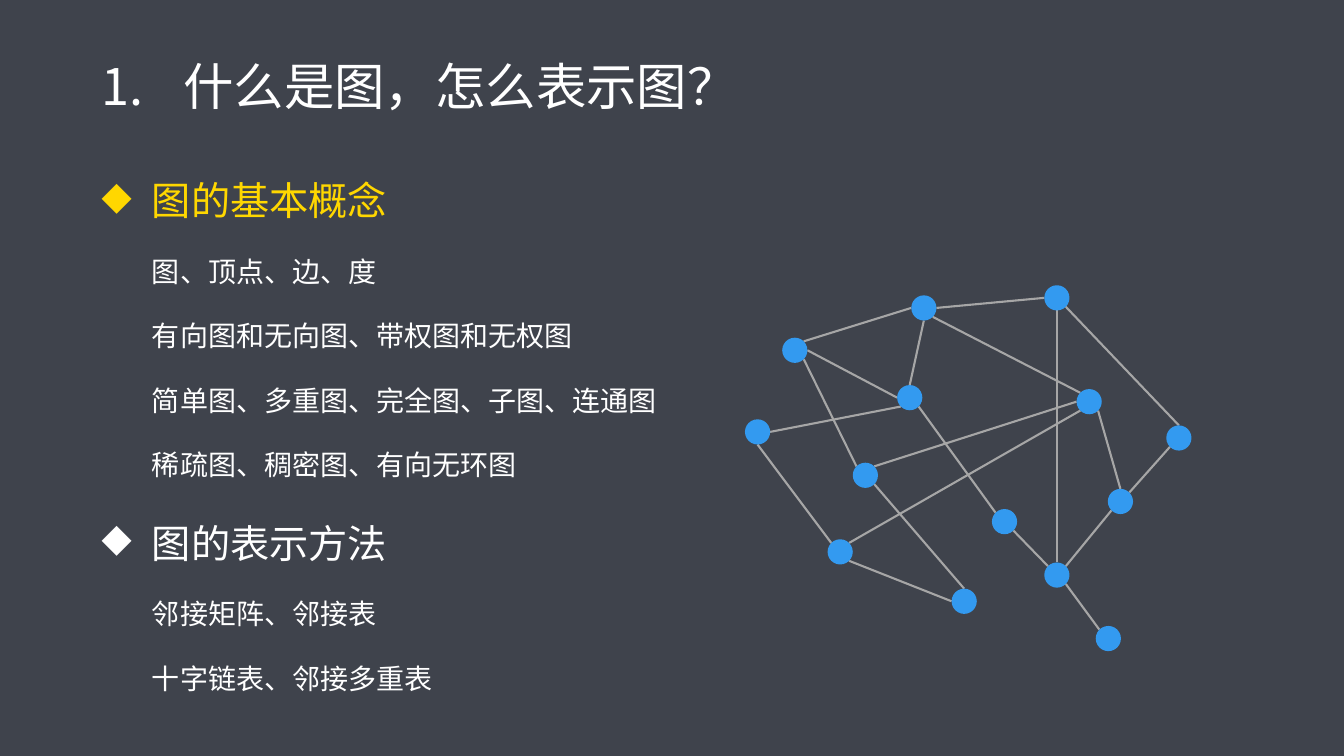
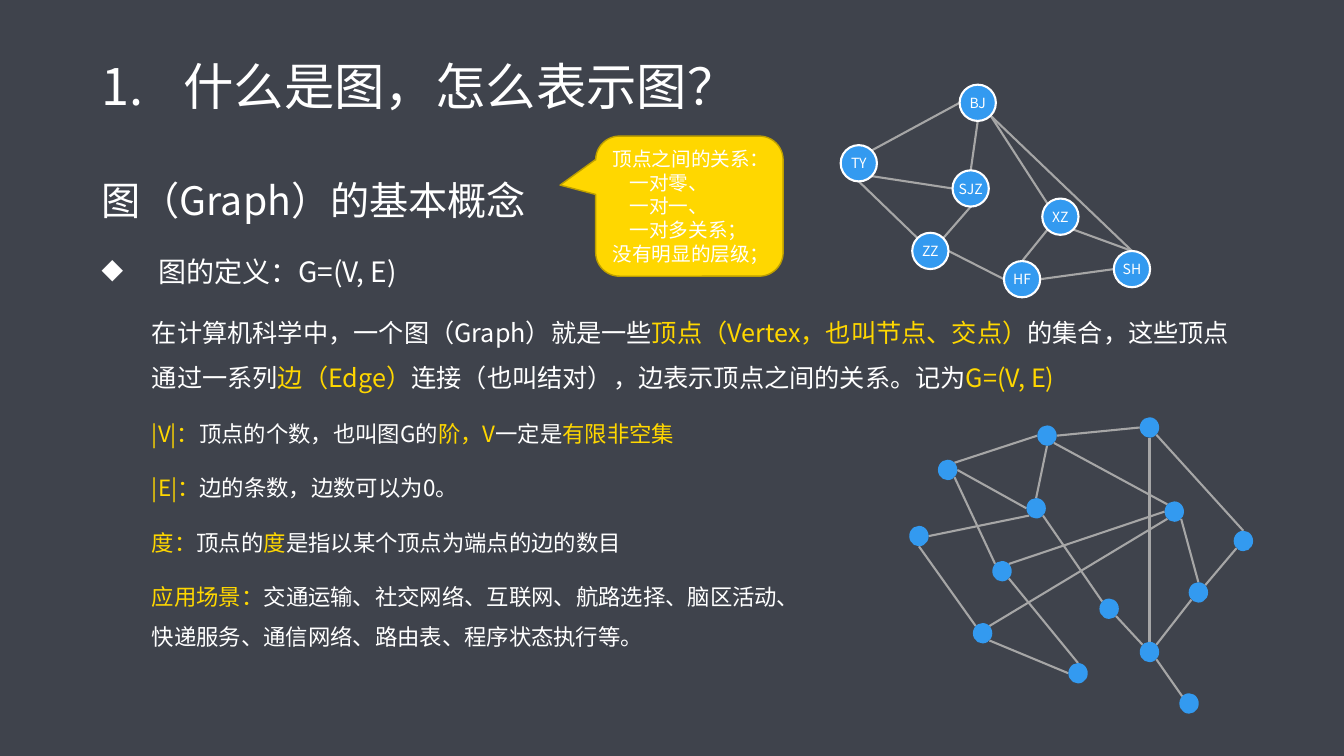
import math

from lxml import etree
from pptx import Presentation
from pptx import util as u
from pptx.dml.color import RGBColor
from pptx.enum import shapes, text
from pptx.oxml import ns

COLORS = {
    "ground": "3F434C",
    "plain": "FFFFFF",
    "accent": "FFD700",
    "accent_edge": "BD9F00",
    "vertex": "339AF0",
    "edge": "A6A6A6",
}
FONT = "Noto Sans CJK SC"
COLUMNS, ROWS = 133.33, 75
SITES = ["e", "se", "s", "sw", "w", "nw", "n", "ne"]

NETWORK = {
    "a": (3.7, 5.2), "b": (0, 13.3), "c": (10.7, 17.6), "d": (29.7, 0),
    "e": (32.9, 10.3), "f": (36, 20.2), "g": (29.7, 27.5), "h": (15.1, 9.9),
    "i": (34.8, 33.8), "j": (8.2, 25.2), "k": (16.5, 1), "l": (41.8, 13.9),
    "m": (20.5, 30.1), "n": (24.5, 22.2),
}
NETWORK_EDGES = [
    "k.w a.ne", "c.nw a.se", "e.w c.ne", "f.n e.se", "l.n d.se",
    "h.sw b.e", "j.ne e.sw", "h.w a.e", "g.se i.nw", "g.ne f.sw",
    "f.ne l.sw", "g.n d.s", "g.nw n.se", "m.n c.se", "m.w j.se",
    "j.nw b.s", "n.nw h.se", "d.w k.e", "e.nw k.se", "h.n k.s",
]
CITIES = {
    "TY": (0, 6), "SJZ": (11.1, 8.5), "BJ": (11.8, 0), "ZZ": (7.1, 14.7),
    "SH": (27.1, 16.5), "HF": (16.2, 17.5), "XZ": (20, 11.3),
}
CITY_EDGES = [
    "BJ.w TY.ne", "SJZ.w TY.se", "SJZ.n BJ.s", "ZZ.ne SJZ.s", "ZZ.nw TY.s",
    "XZ.nw BJ.se", "HF.w ZZ.e", "SH.w HF.e", "SH.n XZ.se", "SH.n BJ.se",
    "HF.n XZ.sw",
]


def color(name):
    return RGBColor.from_string(COLORS[name])


def write(paragraph, content, size, margin=0, hang=0, bullet=None,
          spacing=1.0, before=0, align=None):
    """Set one paragraph; parts between asterisks take the accent colour."""
    paragraph.line_spacing = spacing
    paragraph.space_before = u.Pt(before)
    paragraph.alignment = align
    properties = paragraph._p.get_or_add_pPr()
    properties.set("marL", str(u.Inches(margin / 10)))
    properties.set("indent", str(u.Inches(-hang / 10)))
    if bullet:
        tag, key, value = bullet
        etree.SubElement(properties, ns.qn(tag)).set(key, value)
    for part, words in enumerate(content.split("*")):
        for row, line in enumerate(words.split("\n")):
            if row:
                paragraph.add_line_break()
            if not line:
                continue
            run = paragraph.add_run()
            run.text = line
            run.font.size = u.Pt(size)
            run.font.name = FONT
            run.font.color.rgb = color("accent" if part % 2 else "plain")
            asian = etree.SubElement(run._r.get_or_add_rPr(), ns.qn("a:ea"))
            asian.set("typeface", FONT)


class Deck:
    DIAMOND = ("a:buChar", "char", "◆")
    NUMBER = ("a:buAutoNum", "type", "arabicPeriod")

    def __init__(self):
        self.show = Presentation()
        self.show.slide_width = u.Inches(13.333)
        self.show.slide_height = u.Inches(7.5)
        self.slide = None

    def x(self, columns):
        return round(self.show.slide_width * columns / COLUMNS)

    def y(self, rows):
        return round(self.show.slide_height * rows / ROWS)

    def box(self, left, top, width, height):
        return self.x(left), self.y(top), self.x(width), self.y(height)

    def new_slide(self, heading):
        self.slide = self.show.slides.add_slide(self.show.slide_layouts[6])
        ground = self.slide.background.fill
        ground.solid()
        ground.fore_color.rgb = color("ground")
        self.text_area(2.9, 11.8, [
            (heading, dict(size=36, margin=8.1, hang=8.1, bullet=self.NUMBER,
                           spacing=0.9)),
        ], text.MSO_ANCHOR.MIDDLE)

    def text_area(self, top, height, paragraphs, anchor=text.MSO_ANCHOR.TOP):
        area = self.slide.shapes.add_textbox(*self.box(9.1, top, 115, height))
        self.fill_text(area.text_frame, paragraphs, anchor)

    def body(self, paragraphs):
        spaced = [(content, dict(style, spacing=1.5, before=10))
                  for content, style in paragraphs]
        self.text_area(14.7, 56.2, spaced)

    def fill_text(self, frame, paragraphs, anchor):
        frame.word_wrap = True
        frame.vertical_anchor = anchor
        for index, (content, style) in enumerate(paragraphs):
            paragraph = frame.add_paragraph() if index else frame.paragraphs[0]
            write(paragraph, content, **style)

    def shape(self, owner, kind, place, fill, outline=None, weight=1.5):
        item = owner.shapes.add_shape(kind, *self.box(*place))
        item.shadow.inherit = False
        item.fill.solid()
        item.fill.fore_color.rgb = color(fill)
        if outline:
            item.line.color.rgb = color(outline)
            item.line.width = u.Pt(weight)
        else:
            item.line.fill.background()
        return item

    def callout(self, place, tip, paragraphs):
        bubble = self.shape(
            self.slide, shapes.MSO_SHAPE.ROUNDED_RECTANGULAR_CALLOUT, place,
            "accent", "accent_edge", 1)
        for index, value in enumerate(tip):
            bubble.adjustments[index] = value
        self.fill_text(bubble.text_frame, paragraphs, text.MSO_ANCHOR.MIDDLE)

    def edge(self, owner, start, end):
        line = owner.shapes.add_connector(
            shapes.MSO_CONNECTOR.STRAIGHT, self.x(start[0]), self.y(start[1]),
            self.x(end[0]), self.y(end[1]))
        line.line.color.rgb = color("edge")
        line.line.width = u.Pt(1.5)
        etree.SubElement(line._element.spPr, ns.qn("a:effectLst"))

    def graph(self, origin, vertices, edges, size, scale=(1, 1), named=False):
        group = self.slide.shapes.add_group_shape()
        width, height = size * scale[0], size * scale[1]
        corners = {
            name: (origin[0] + left * scale[0], origin[1] + top * scale[1])
            for name, (left, top) in vertices.items()
        }

        def site(end):
            name, side = end.split(".")
            angle = SITES.index(side) * math.pi / 4
            left, top = corners[name]
            return (left + width / 2 * (1 + math.cos(angle)),
                    top + height / 2 * (1 + math.sin(angle)))

        for pair in edges:
            self.edge(group, *map(site, pair.split()))
        for name, corner in corners.items():
            vertex = self.shape(group, shapes.MSO_SHAPE.OVAL,
                                (*corner, width, height), "vertex",
                                "plain" if named else None)
            if named:
                frame = vertex.text_frame
                frame.margin_left = frame.margin_right = 0
                frame.margin_top = frame.margin_bottom = 0
                label = dict(size=10, align=text.PP_ALIGN.CENTER)
                self.fill_text(frame, [(name, label)], text.MSO_ANCHOR.MIDDLE)


def main():
    deck = Deck()
    heading = "什么是图，怎么表示图？"
    topic = dict(size=28, margin=5, hang=5, bullet=Deck.DIAMOND)
    detail = dict(size=20, margin=5)

    deck.new_slide(heading)
    deck.body([
        ("*图的基本概念*", topic),
        ("图、顶点、边、度", detail),
        ("有向图和无向图、带权图和无权图", detail),
        ("简单图、多重图、完全图、子图、连通图", detail),
        ("稀疏图、稠密图、有向无环图", detail),
        ("图的表示方法", topic),
        ("邻接矩阵、邻接表", detail),
        ("十字链表、邻接多重表", detail),
    ])
    deck.graph((73.9, 28.3), NETWORK, NETWORK_EDGES, 2.5)

    deck.new_slide(heading)
    definition = dict(size=18, margin=5)
    term = dict(size=16, margin=5)
    deck.body([
        ("图（Graph）的基本概念", dict(size=28)),
        ("图的定义：G=(V, E)",
         dict(size=20, margin=5.6, hang=5.6, bullet=Deck.DIAMOND)),
        ("在计算机科学中，一个图（Graph）就是一些*顶点（Vertex，也叫节点、交点）*"
         "的集合，这些顶点通过一系列*边（Edge）*连接（也叫结对），"
         "边表示顶点之间的关系。记为*G=(V, E)*", definition),
        ("*|V|：*顶点的个数，也叫图G的*阶，V*一定是*有限非空集*", term),
        ("*|E|：*边的条数，边数可以为0。", term),
        ("*度：*顶点的*度*是指以某个顶点为端点的边的数目", term),
        ("*应用场景：*交通运输、社交网络、互联网、航路选择、脑区活动、\n"
         "快递服务、通信网络、路由表、程序状态执行等。", term),
    ])
    deck.graph((90.2, 41.4), NETWORK, NETWORK_EDGES, 2.5, (0.77, 0.81))
    note = dict(size=14)
    relation = dict(size=14, margin=1.7)
    deck.callout((59.1, 13.5, 18.6, 13.9), (-0.69, -0.15, 0.17), [
        ("顶点之间的关系：", note),
        ("一对零、", relation),
        ("一对一、", relation),
        ("一对多关系；", relation),
        ("没有明显的层级；", note),
    ])
    deck.graph((83.4, 8.4), CITIES, CITY_EDGES, 3.6, named=True)

    deck.show.save("out.pptx")


if __name__ == "__main__":
    main()
